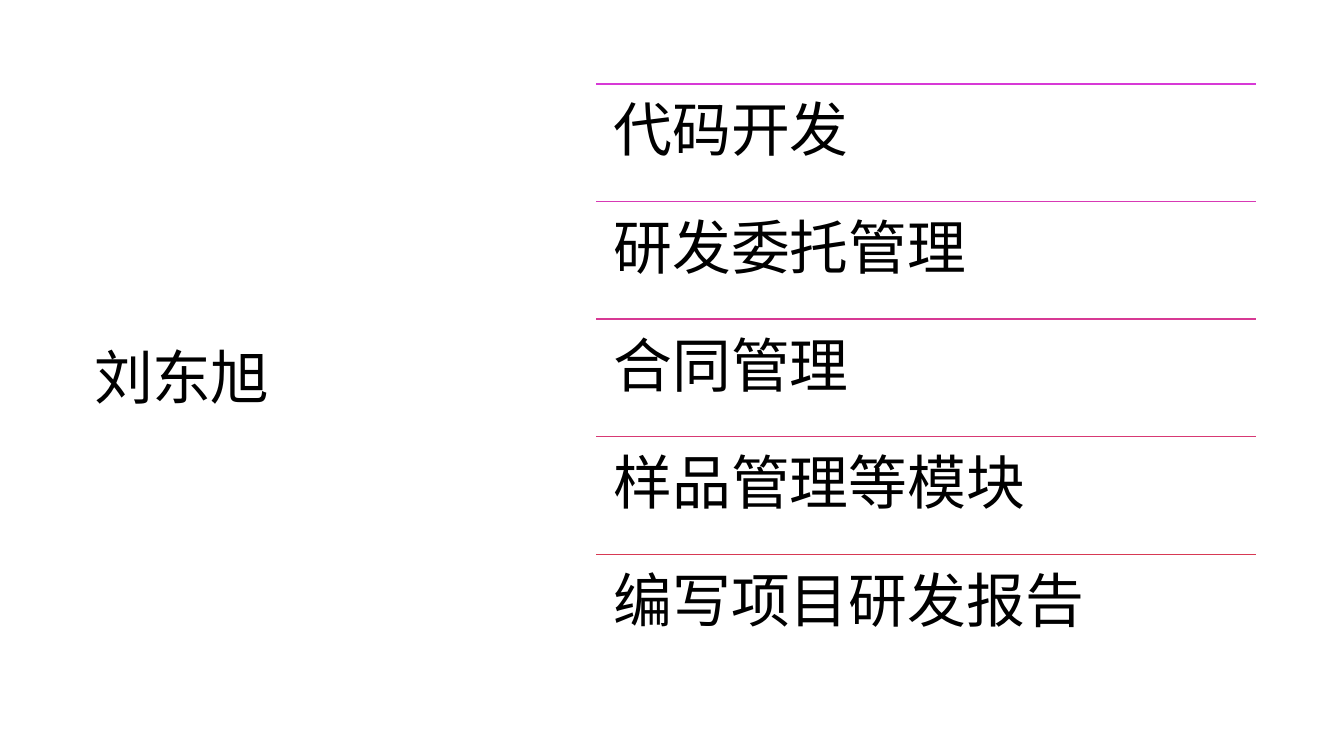
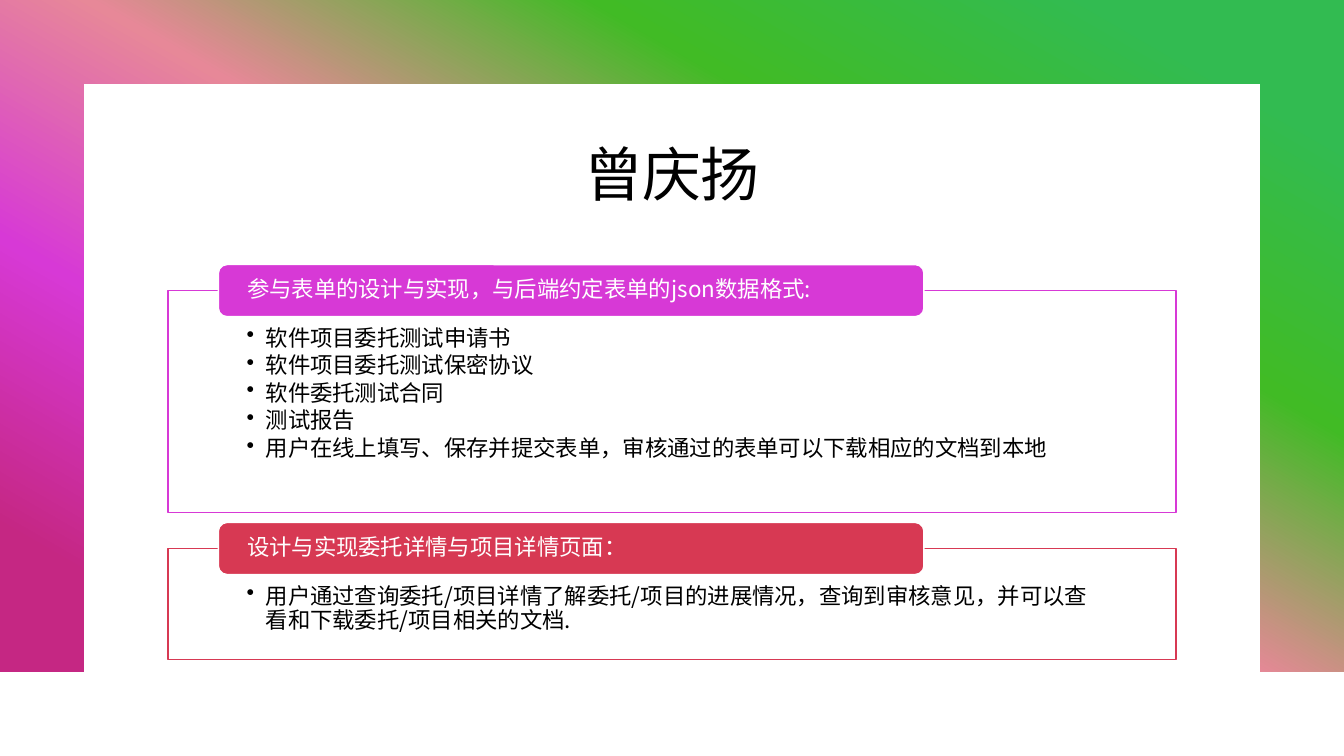
"""Build two slides that list what each team member worked on."""
from dataclasses import dataclass

from lxml import etree
from pptx import Presentation
from pptx import util as u
from pptx.dml.color import RGBColor
from pptx.enum import shapes, text
from pptx.oxml.ns import qn


@dataclass(frozen=True)
class Theme:
    font: str = "Noto Sans CJK SC"
    ink: str = "000000"
    paper: str = "FFFFFF"
    violet: str = "D739D6"
    red: str = "D73953"
    gradient: tuple = ((10, "32BB51"), (30, "41BB25"), (50, "E78898"), (70, "D739D6"), (90, "C52783"))
    gradient_angle: int = 240
    large: int = 42
    small: int = 16
    line: int = 1


theme = Theme()
presentation = Presentation()
presentation.slide_height = u.Inches(7.5)
unit = presentation.slide_height / 9
presentation.slide_width = round(unit * 16)


def place(*lengths):
    """Turn grid units into lengths."""
    return [round(length * unit) for length in lengths]


def write(shape, lines, size=theme.small, color=theme.ink, align=text.PP_ALIGN.LEFT,
          anchor=text.MSO_ANCHOR.TOP, insets=(0.1, 0.05, 0.1, 0.05), leading=0.9,
          after=0.0, tracking=0, bullet=None, hang=0.19):
    """Fill a shape with formatted paragraphs."""
    frame = shape.text_frame
    frame.word_wrap = True
    frame.auto_size = text.MSO_AUTO_SIZE.NONE
    frame.vertical_anchor = anchor
    frame.margin_left, frame.margin_top, frame.margin_right, frame.margin_bottom = map(u.Inches, insets)
    for index, line in enumerate(lines):
        paragraph = frame.add_paragraph() if index else frame.paragraphs[0]
        paragraph.alignment = align
        paragraph.line_spacing = leading
        paragraph.space_after = u.Pt(size * after)
        run = paragraph.add_run()
        run.text = line
        run.font.size = u.Pt(size)
        run.font.color.rgb = RGBColor.from_string(color)
        run.font.name = theme.font
        properties = run.font._element
        etree.SubElement(properties, qn("a:ea"), typeface=theme.font)
        if tracking:
            properties.set("spc", str(round(tracking * 100)))
        if bullet:
            layout = paragraph._p.get_or_add_pPr()
            layout.set("marL", str(u.Inches(hang)))
            layout.set("indent", str(-u.Inches(hang)))
            etree.SubElement(layout, qn("a:buChar"), char=bullet)


members = [
    ("刘东旭", (1, 1.02, 5.12, 7), text.PP_ALIGN.LEFT),
    ("曾庆扬", (2, 1.49, 12, 1.21), text.PP_ALIGN.CENTER),
]
slides = []
for name, box, align in members:
    slide = presentation.slides.add_slide(presentation.slide_layouts[5])
    title = slide.shapes.title
    title.left, title.top, title.width, title.height = place(*box)
    write(title, [name], size=theme.large, align=align, anchor=text.MSO_ANCHOR.MIDDLE,
          leading=0.95, tracking=-0.5)
    slides.append(slide)
list_slide, card_slide = slides

tasks = ["代码开发", "研发委托管理", "合同管理", "样品管理等模块", "编写项目研发报告"]
list_left, list_width, list_top = 7.1, 7.85, 1
row = 7 / len(tasks)
first, last = RGBColor.from_string(theme.violet), RGBColor.from_string(theme.red)
for index, task in enumerate(tasks):
    top = list_top + index * row
    share = index / (len(tasks) - 1)
    rule = list_slide.shapes.add_connector(
        shapes.MSO_CONNECTOR.STRAIGHT, *place(list_left, top, list_left + list_width, top))
    rule.line.color.rgb = RGBColor(*(round(a + (b - a) * share) for a, b in zip(first, last)))
    rule.line.width = u.Pt(theme.line)
    etree.SubElement(rule._element.spPr, qn("a:effectLst"))
    task_box = list_slide.shapes.add_textbox(*place(list_left, top, list_width, row))
    write(task_box, [task], size=theme.large, insets=(0.17,) * 4, after=0.35)

backdrop = card_slide.shapes.add_shape(shapes.MSO_SHAPE.RECTANGLE, *place(0, 0, 16, 8))
backdrop.fill.gradient()
backdrop.fill.gradient_angle = theme.gradient_angle
stops = backdrop._element.spPr.find(qn("a:gradFill")).find(qn("a:gsLst"))
for stop in list(stops):
    stops.remove(stop)
for percent, color in theme.gradient:
    stop = etree.SubElement(stops, qn("a:gs"), pos=str(percent * 1000))
    etree.SubElement(stop, qn("a:srgbClr"), val=color)
panel = card_slide.shapes.add_shape(shapes.MSO_SHAPE.RECTANGLE, *place(1, 1, 14, 7))
panel.fill.solid()
panel.fill.fore_color.rgb = RGBColor.from_string(theme.paper)
for shape in (backdrop, panel):
    shape.line.fill.background()
    shape.shadow.inherit = False
tree = card_slide.shapes._spTree
tree.append(card_slide.shapes.title._element)

cards = [
    ("参与表单的设计与实现，与后端约定表单的json数据格式:", theme.violet, 2.64, [
        "软件项目委托测试申请书",
        "软件项目委托测试保密协议",
        "软件委托测试合同",
        "测试报告",
        "用户在线上填写、保存并提交表单，审核通过的表单可以下载相应的文档到本地",
    ]),
    ("设计与实现委托详情与项目详情页面：", theme.red, 1.32, [
        "用户通过查询委托/项目详情了解委托/项目的进展情况，查询到审核意见，并可以查看和下载委托/项目相关的文档.",
    ]),
]
card_top, card_gap, label_height = 3.46, 0.43, 0.62
for heading, accent, height, points in cards:
    body = card_slide.shapes.add_shape(
        shapes.MSO_SHAPE.RECTANGLE, *place(2, card_top, 12, height))
    label = card_slide.shapes.add_shape(
        shapes.MSO_SHAPE.ROUNDED_RECTANGLE, *place(2.6, card_top - label_height / 2, 8.4, label_height))
    for shape, fill, outline in ((body, theme.paper, accent), (label, accent, theme.paper)):
        shape.fill.solid()
        shape.fill.fore_color.rgb = RGBColor.from_string(fill)
        shape.line.color.rgb = RGBColor.from_string(outline)
        shape.line.width = u.Pt(theme.line)
        shape.shadow.inherit = False
    write(body, points, insets=(0.78, 0.36, 0.78, 0.12), after=0.15, bullet="•")
    write(label, [heading], color=theme.paper, anchor=text.MSO_ANCHOR.MIDDLE,
          insets=(0.26, 0, 0.26, 0), after=0.35)
    card_top += height + card_gap

presentation.save("out.pptx")
